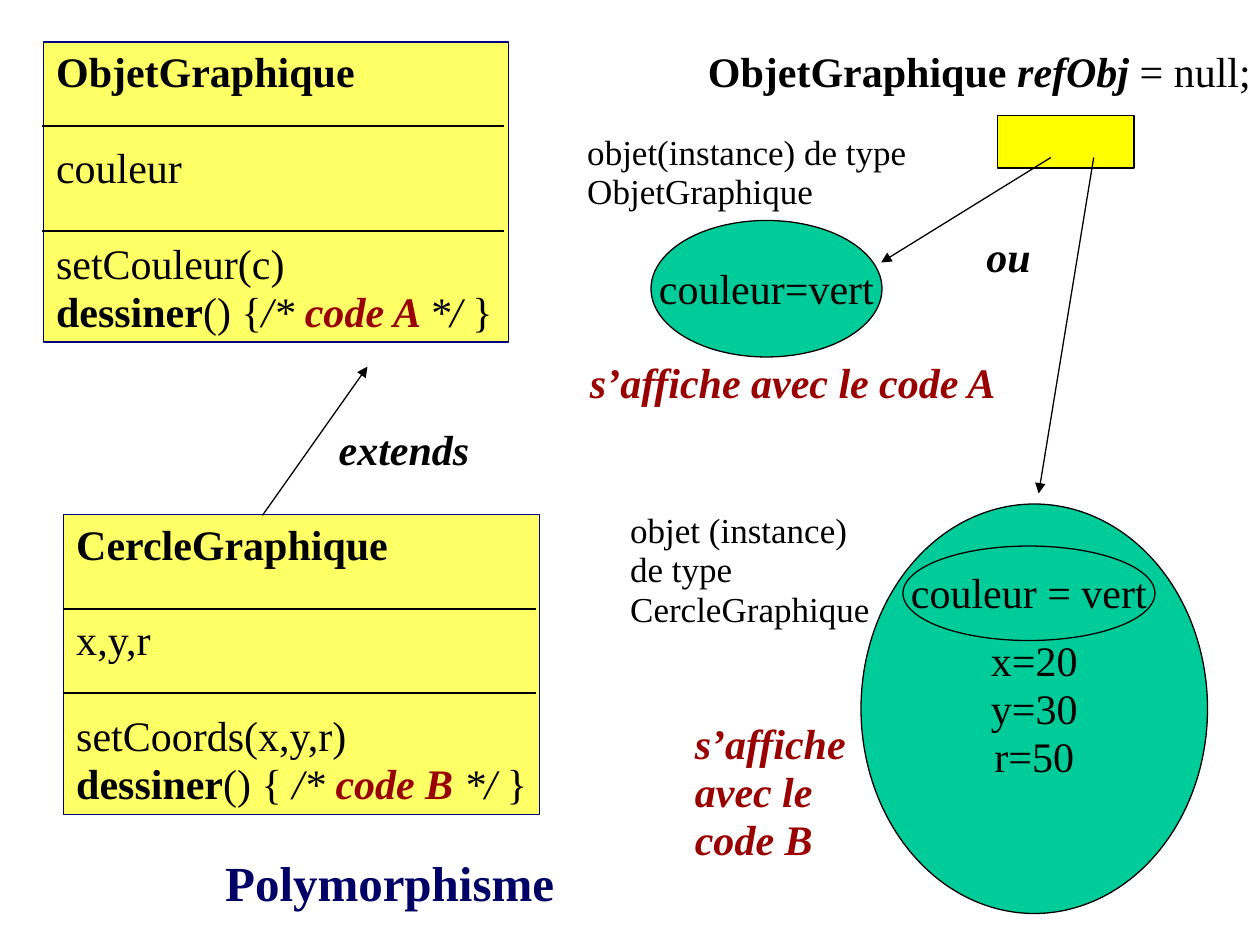
"""Build the slide on polymorphism: two classes, a reference and the objects it may point to."""
from lxml import etree
from pptx import Presentation
from pptx.dml.color import RGBColor
from pptx.enum.shapes import MSO_CONNECTOR as CONNECTOR, MSO_SHAPE as SHAPE
from pptx.enum.text import MSO_ANCHOR as ANCHOR, MSO_AUTO_SIZE as AUTO_SIZE, PP_ALIGN as ALIGN
from pptx.oxml.ns import qn
from pptx.util import Emu, Pt

PX = 6350
LINE_HEIGHT = 1.14
BLACK, NAVY, RED = "000000", "000066", "990000"
PALE_YELLOW, YELLOW, GREEN = "FFFF66", "FFFF00", "00CC99"
color = RGBColor.from_string


def px(*lengths):
    return [Emu(length * PX) for length in lengths]


def write(shape, paragraphs, size=24, ink=BLACK, style="", align=ALIGN.LEFT,
          anchor=ANCHOR.TOP, gaps=()):
    frame = shape.text_frame
    frame.text = "\n".join("".join(text for text, *_ in runs) if isinstance(runs, list) else runs
                           for runs in paragraphs)
    frame.word_wrap = False
    frame.auto_size = AUTO_SIZE.NONE
    frame.vertical_anchor = anchor
    for index, (paragraph, runs) in enumerate(zip(frame.paragraphs, paragraphs)):
        paragraph.alignment = align
        paragraph.line_spacing = Pt(round(size * LINE_HEIGHT, 2))
        paragraph.space_before = Pt(size * LINE_HEIGHT if index in gaps else 0)
        if not isinstance(runs, list):
            runs = [(runs, style, ink)]
        paragraph.clear()
        for text, run_style, run_ink in runs:
            run = paragraph.add_run()
            run.text = text
            run.font.name = "Times New Roman"
            run.font.size = Pt(size)
            run.font.bold = "b" in run_style
            run.font.italic = "i" in run_style
            run.font.color.rgb = color(run_ink)


presentation = Presentation()
presentation.slide_width, presentation.slide_height = px(1440, 1080)
slide = presentation.slides.add_slide(presentation.slide_layouts[5])

title = slide.shapes.title
title.left, title.top, title.width, title.height = px(243, 971, 405, 79)
write(title, ["Polymorphisme"], size=28, ink=NAVY, style="b")

classes = [
    ((50, 48, 531, 343), "ObjetGraphique", "couleur", "setCouleur(c)",
     ("/* ", "code A ", "*/")),
    ((73, 588, 544, 343), "CercleGraphique", "x,y,r", "setCoords(x,y,r)",
     (" /* ", "code B", " */")),
]
for box, name, fields, setter, (opening, code, closing) in classes:
    shape = slide.shapes.add_shape(SHAPE.RECTANGLE, *px(*box))
    shape.shadow.inherit = False
    shape.fill.solid()
    shape.fill.fore_color.rgb = color(PALE_YELLOW)
    shape.line.color.rgb = color("000080")
    shape.line.width = Pt(0.75)
    method = [("dessiner", "b", BLACK), ("() {", "", BLACK), (opening, "i", BLACK),
              (code, "bi", RED), (closing, "i", BLACK), (" }", "", BLACK)]
    write(shape, [[(name, "b", BLACK)], fields, setter, method], gaps=(1, 2))

objects = [
    (SHAPE.RECTANGLE, (1140, 132, 156, 60), YELLOW, []),
    (SHAPE.OVAL, (984, 576, 396, 468), GREEN, ["x=20", "y=30", "r=50"]),
    (SHAPE.OVAL, (744, 252, 264, 156), GREEN, ["couleur=vert"]),
    (SHAPE.OVAL, (1032, 624, 288, 108), GREEN, ["couleur = vert"]),
]
for kind, box, fill, values in objects:
    shape = slide.shapes.add_shape(kind, *px(*box))
    shape.shadow.inherit = False
    shape.fill.solid()
    shape.fill.fore_color.rgb = color(fill)
    shape.line.color.rgb = color(BLACK)
    shape.line.width = Pt(0.75)
    write(shape, values, align=ALIGN.CENTER, anchor=ANCHOR.MIDDLE)

declaration = [("ObjetGraphique ", "b", BLACK), ("refObj", "bi", BLACK), (" = null;", "", BLACK)]
labels = [
    ((795, 48, 649, 69), [declaration], 24, BLACK, ""),
    ((373, 480, 177, 69), ["extends"], 24, BLACK, "bi"),
    ((1113, 259, 79, 69), ["ou"], 24, BLACK, "bi"),
    ((657, 144, 393, 107), ["objet(instance) de type", "ObjetGraphique"], 20, BLACK, ""),
    ((706, 576, 302, 151), ["objet (instance)", "de type", "CercleGraphique"], 20, BLACK, ""),
    ((660, 403, 495, 69), ["s’affiche avec le code A"], 24, RED, "bi"),
    ((780, 816, 213, 179), ["s’affiche", "avec le", "code B"], 24, RED, "bi"),
]
for box, paragraphs, size, ink, style in labels:
    write(slide.shapes.add_textbox(*px(*box)), paragraphs, size, ink, style)

dividers = [(48, 144, 576, 144), (48, 264, 576, 264), (72, 696, 612, 696), (72, 792, 612, 792)]
arrows = [(300, 589, 420, 419), (1201, 180, 1007, 300), (1250, 180, 1187, 564)]
for ends in dividers + arrows:
    connector = slide.shapes.add_connector(CONNECTOR.STRAIGHT, *px(*ends))
    connector.line.color.rgb = color(BLACK)
    connector.line.width = Pt(0.75)
    if ends in arrows:
        etree.SubElement(connector.line._get_or_add_ln(), qn("a:tailEnd"), type="triangle")
    etree.SubElement(connector._element.spPr, qn("a:effectLst"))

presentation.save("out.pptx")
